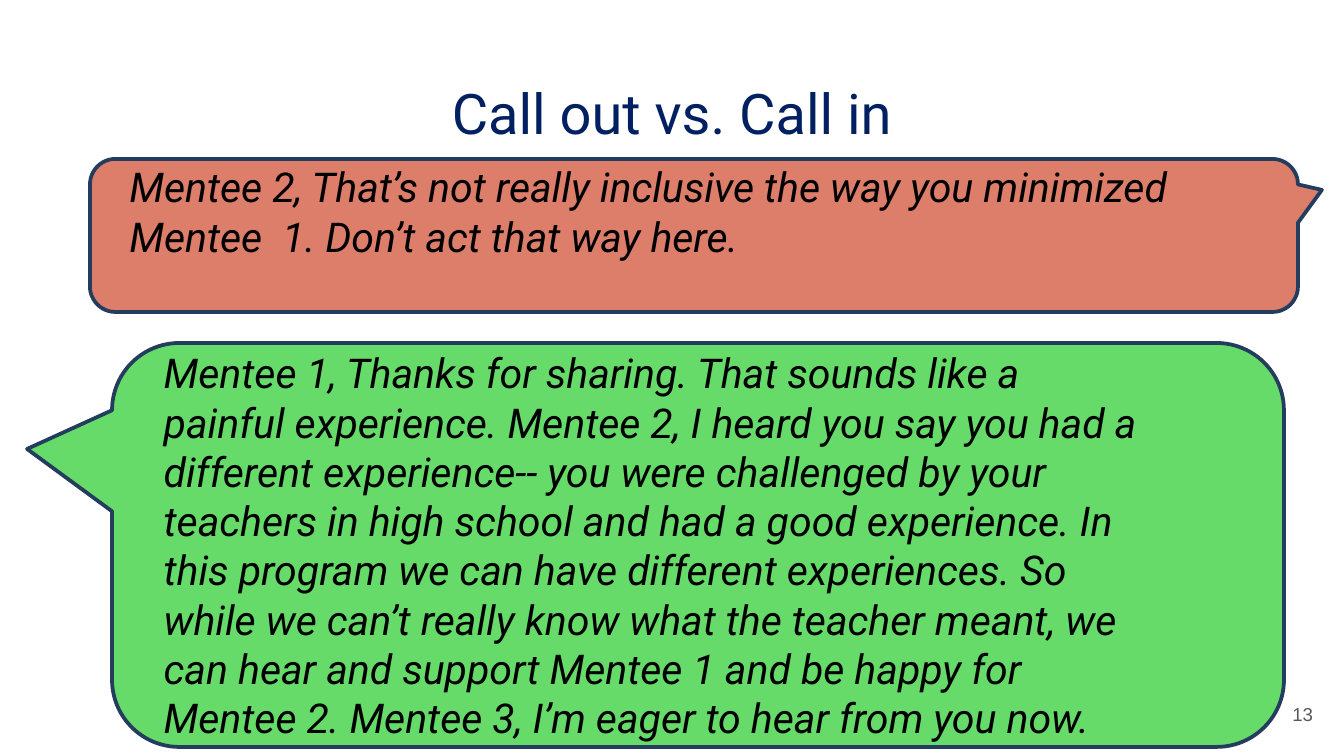
from dataclasses import dataclass

from pptx import Presentation
from pptx import util as u
from pptx.dml.color import RGBColor
from pptx.enum import shapes, text

EMU_PER_PX = 914400 / 134.4
COLORS = {
    "navy": "002061",
    "outline": "243C5D",
    "call_out": "DD7E6B",
    "call_in": "66DB6A",
    "speech": "000000",
    "gray": "595959",
}


@dataclass(frozen=True)
class Box:
    left: int
    top: int
    width: int
    height: int


@dataclass(frozen=True)
class Label:
    box: Box
    words: str
    font: str
    size: int
    color: str
    align: text.PP_ALIGN
    anchor: text.MSO_ANCHOR


@dataclass(frozen=True)
class Callout:
    box: Box
    words: str
    fill: str
    tip: tuple[int, int]
    right_inset: int
    bottom_inset: int
    line_spacing: float


def px(length: int) -> u.Emu:
    return u.Emu(round(length * EMU_PER_PX))


def place(box: Box) -> tuple[u.Emu, ...]:
    return px(box.left), px(box.top), px(box.width), px(box.height)


def rgb(name: str) -> RGBColor:
    return RGBColor.from_string(COLORS[name])


def write(frame, words: str, font: str, size: int, color: str,
          align: text.PP_ALIGN, anchor: text.MSO_ANCHOR,
          insets: tuple[int, int, int, int]):
    """Fill a text frame; insets run left, top, right, bottom."""
    frame.word_wrap = True
    frame.vertical_anchor = anchor
    (frame.margin_left, frame.margin_top,
     frame.margin_right, frame.margin_bottom) = map(px, insets)
    paragraph = frame.paragraphs[0]
    paragraph.text = words
    paragraph.alignment = align
    paragraph.font.name = font
    paragraph.font.size = u.Pt(size)
    paragraph.font.color.rgb = rgb(color)
    return paragraph


def draw_label(slide, label: Label) -> None:
    frame = slide.shapes.add_textbox(*place(label.box)).text_frame
    write(frame, label.words, label.font, label.size, label.color,
          label.align, label.anchor, (13, 13, 13, 13))


def draw_callout(slide, callout: Callout) -> None:
    box = callout.box
    bubble = slide.shapes.add_shape(
        shapes.MSO_SHAPE.ROUNDED_RECTANGULAR_CALLOUT, *place(box))
    # The tail tip is measured from the centre, as a share of the box
    tip_x, tip_y = callout.tip
    bubble.adjustments[0] = (tip_x - box.left) / box.width - 0.5
    bubble.adjustments[1] = (tip_y - box.top) / box.height - 0.5
    bubble.adjustments[2] = 1 / 6
    bubble.shadow.inherit = False
    bubble.fill.solid()
    bubble.fill.fore_color.rgb = rgb(callout.fill)
    bubble.line.color.rgb = rgb("outline")
    bubble.line.width = u.Pt(2)
    speech = write(bubble.text_frame, callout.words, "Roboto", 22, "speech",
                   text.PP_ALIGN.LEFT, text.MSO_ANCHOR.MIDDLE,
                   (32, 7, callout.right_inset, callout.bottom_inset))
    speech.font.italic = True
    speech.line_spacing = callout.line_spacing


TITLE = Label(Box(46, 66, 1252, 85), "Call out vs. Call in", "Roboto", 30,
              "navy", text.PP_ALIGN.CENTER, text.MSO_ANCHOR.TOP)
PAGE_NUMBER = Label(Box(1245, 685, 81, 58), "13", "Arial", 10,
                    "gray", text.PP_ALIGN.RIGHT, text.MSO_ANCHOR.MIDDLE)
CALLOUTS = [
    Callout(
        Box(90, 159, 1208, 153),
        "Mentee 2, That’s not really inclusive the way you minimized "
        "Mentee  1. Don’t act that way here.",
        "call_out", (1322, 190), 13, 56, 1.01),
    Callout(
        Box(112, 343, 1172, 404),
        "Mentee 1, Thanks for sharing. That sounds like a painful experience. "
        "Mentee 2, I heard you say you had a different experience-- you were "
        "challenged by your teachers in high school and had a good experience. "
        "In this program we can have different experiences. So while we can’t "
        "really know what the teacher meant, we can hear and support Mentee 1 "
        "and be happy for Mentee 2. Mentee 3, I’m eager to hear from you now.",
        "call_in", (27, 449), 121, 7, 1.0),
]


def main() -> None:
    deck = Presentation()
    deck.slide_width, deck.slide_height = px(1344), px(756)
    slide = deck.slides.add_slide(deck.slide_layouts[6])

    # Heading
    draw_label(slide, TITLE)

    # The two ways of responding
    for callout in CALLOUTS:
        draw_callout(slide, callout)

    # Footer
    draw_label(slide, PAGE_NUMBER)
    deck.save("out.pptx")


if __name__ == "__main__":
    main()
